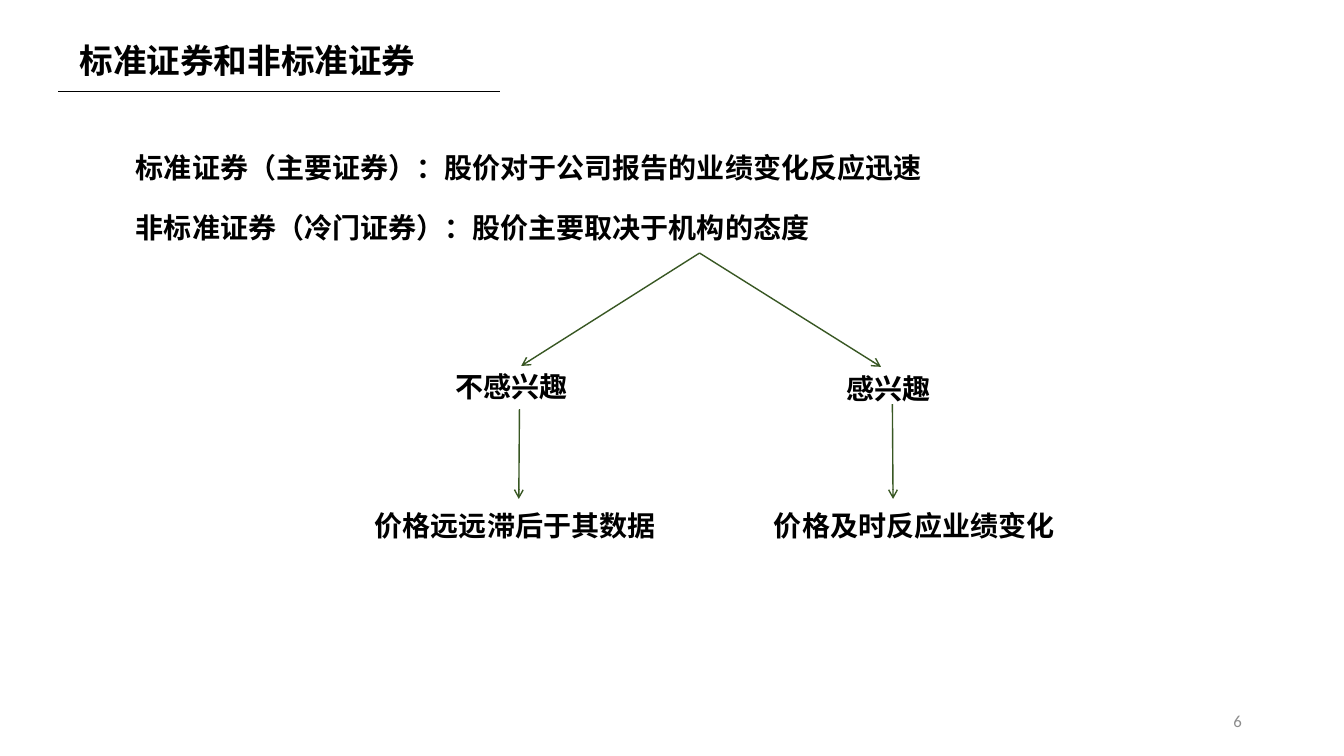
from lxml import etree
from pptx import Presentation
from pptx.dml.color import RGBColor
from pptx.enum.lang import MSO_LANGUAGE_ID
from pptx.enum.shapes import MSO_CONNECTOR
from pptx.enum.text import MSO_ANCHOR, PP_ALIGN
from pptx.oxml.ns import qn
from pptx.util import Inches, Pt

STRAIGHT = MSO_CONNECTOR.STRAIGHT
CHINESE = MSO_LANGUAGE_ID.SIMPLIFIED_CHINESE
LEFT, RIGHT = PP_ALIGN.LEFT, PP_ALIGN.RIGHT
MIDDLE = MSO_ANCHOR.MIDDLE
HEADING_FONT, NUMBER_FONT = "Noto Sans CJK SC", "Calibri"
COLORS = {"text": "000000", "arrow": "385723", "number": "8C8C8C"}

deck = Presentation()
deck.slide_width, deck.slide_height = Inches(13.33), Inches(7.5)
page = deck.slides.add_slide(deck.slide_layouts[6])

# Grid of 100 columns by 100 rows
COL, ROW = deck.slide_width / 100, deck.slide_height / 100


def add_text(lines, left, top, width, height, size=20, color="text",
             font=HEADING_FONT, bold=True, align=LEFT, gap=0):
    box = page.shapes.add_textbox(int(left * COL), int(top * ROW),
                                  int(width * COL), int(height * ROW))
    frame = box.text_frame
    frame.word_wrap = True
    frame.text = "\n".join(lines)
    for index, para in enumerate(frame.paragraphs):
        para.alignment = align
        para.space_before = Pt(gap if index else 0)
        for span in para.runs:
            span.font.name = font
            span.font.size = Pt(size)
            span.font.bold = bold
            span.font.color.rgb = RGBColor.from_string(COLORS[color])
            span.font.language_id = CHINESE
            east_asian = etree.Element(qn("a:ea"), typeface=font)
            span.font._element.find(qn("a:latin")).addnext(east_asian)
    return box


def add_line(start, end, color, arrow=False):
    line = page.shapes.add_connector(
        STRAIGHT, int(start[0] * COL), int(start[1] * ROW),
        int(end[0] * COL), int(end[1] * ROW))
    line.line.width = Pt(1)
    line.line.color.rgb = RGBColor.from_string(COLORS[color])
    if arrow:
        etree.SubElement(line.line._get_or_add_ln(), qn("a:tailEnd"), type="arrow")
    etree.SubElement(line._element.spPr, qn("a:effectLst"))


# Title and its underline
add_text(["标准证券和非标准证券"], 5.18, 4.67, 29.6, 6.67, size=24)
add_line((4.35, 12.13), (37.2, 12.13), "text")

# Definitions
add_text(["标准证券（主要证券）：股价对于公司报告的业绩变化反应迅速",
          "非标准证券（冷门证券）：股价主要取决于机构的态度"],
         9.38, 19.2, 83, 31.87, gap=19)

# Branches: attitude of the institutions, then effect on the price
for text, left, top, width in [
    ("不感兴趣", 33.15, 48.27, 14.5),
    ("感兴趣", 62.25, 48.53, 14.5),
    ("价格远远滞后于其数据", 27.15, 66.67, 23.5),
    ("价格及时反应业绩变化", 56.85, 66.67, 23.5),
]:
    add_text([text], left, top, width, 5.87)

# Arrows
FORK = (52.05, 33.47)
for start, end in [
    (FORK, (38.78, 48.4)),
    (FORK, (65.55, 48.53)),
    ((38.65, 54.13), (38.6, 66)),
    ((66.4, 53.47), (66.45, 66)),
]:
    add_line(start, end, "arrow", arrow=True)

# Page number
number = add_text(["6"], 70.65, 92.67, 22.5, 5.33, size=12, color="number",
                  font=NUMBER_FONT, bold=False, align=RIGHT)
number.text_frame.vertical_anchor = MIDDLE

deck.save("out.pptx")
